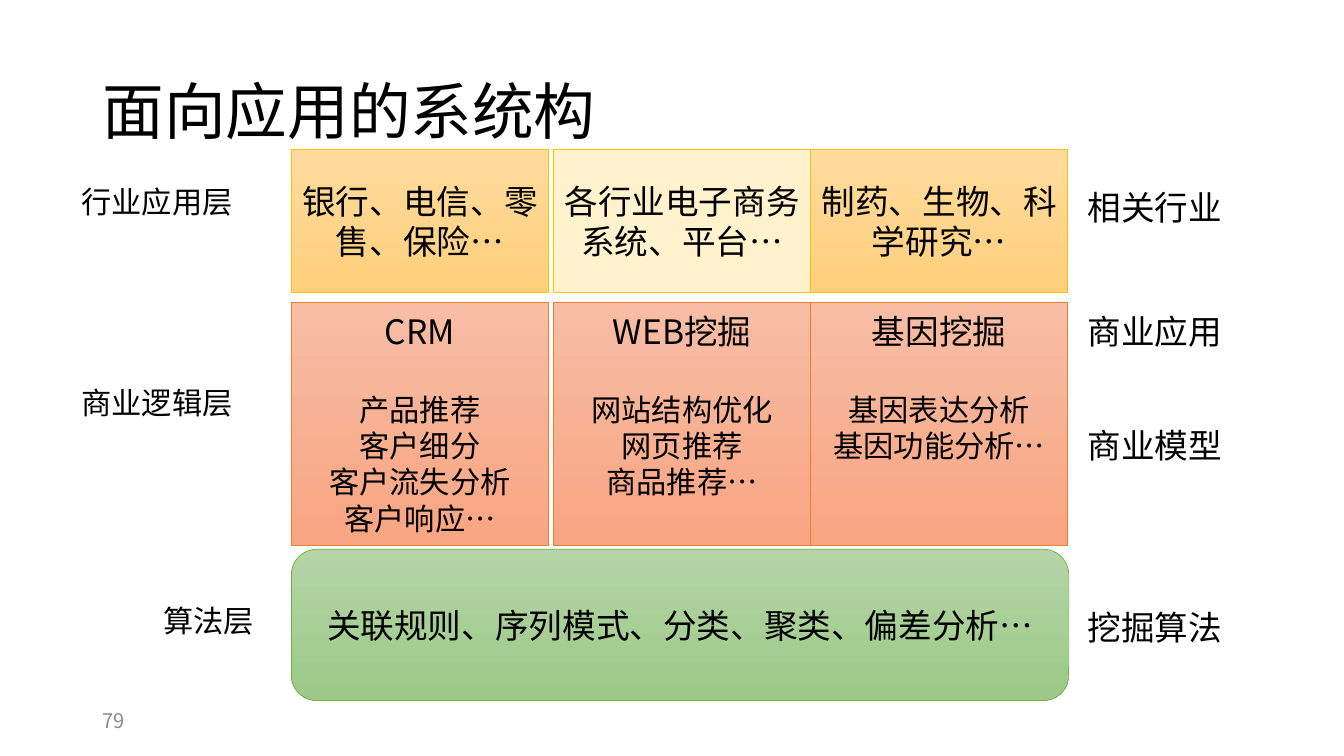
from lxml.etree import SubElement
from pptx import Presentation
from pptx.dml.color import RGBColor
from pptx.enum.shapes import MSO_SHAPE
from pptx.enum.text import MSO_ANCHOR, PP_ALIGN
from pptx.oxml.ns import qn
from pptx.util import Inches, Pt

TITLE = "面向应用的系统构"
PAGE_NUMBER = "79"
COLUMNS = [  # left, industry, application, models
    (2.89, "银行、电信、零售、保险…", "CRM",
     ["产品推荐", "客户细分", "客户流失分析", "客户响应…"]),
    (5.49, "各行业电子商务系统、平台…", "WEB挖掘",
     ["网站结构优化", "网页推荐", "商品推荐…"]),
    (8.04, "制药、生物、科学研究…", "基因挖掘",
     ["基因表达分析", "基因功能分析…"]),
]
ALGORITHMS = "关联规则、序列模式、分类、聚类、偏差分析…"
LAYER_LABELS = [  # left, top, width, text
    (0.71, 1.77, 1.7, "行业应用层"),
    (0.71, 3.76, 1.7, "商业逻辑层"),
    (1.52, 5.93, 1.1, "算法层"),
]
ROLE_LABELS = [(1.81, "相关行业"), (3.04, "商业应用"), (4.17, "商业模型"), (5.97, "挖掘算法")]

FONT = "Noto Sans CJK SC"
LARGE, SMALL = 24, 21.6
LINE_HEIGHT = 1.2
BOX_WIDTH = 2.55
ROLE_LEFT = 10.69

BLACK = RGBColor(0x00, 0x00, 0x00)
GRAY = RGBColor(0x8C, 0x8C, 0x8C)
CREAM = RGBColor(0xFF, 0xF2, 0xCC)
GOLD = RGBColor(0xFF, 0xC0, 0x00)
ORANGE = RGBColor(0xED, 0x7D, 0x31)
GREEN = RGBColor(0x70, 0xAD, 0x47)
GOLD_GRADIENT = (RGBColor(0xFF, 0xDB, 0x9E), RGBColor(0xFF, 0xD0, 0x7C))
ORANGE_GRADIENT = (RGBColor(0xF7, 0xBD, 0xA5), RGBColor(0xF8, 0xA5, 0x82))
GREEN_GRADIENT = (RGBColor(0xB5, 0xD5, 0xA7), RGBColor(0x9C, 0xC9, 0x87))


def write(shape, text, size=LARGE, color=BLACK, align=PP_ALIGN.LEFT,
          anchor=MSO_ANCHOR.MIDDLE, wrap=True, line_height=LINE_HEIGHT,
          space_before=0, append=False):
    """Put one paragraph into a shape, or append it to those already there."""
    frame = shape.text_frame
    frame.word_wrap = wrap
    frame.vertical_anchor = anchor
    paragraph = frame.add_paragraph() if append else frame.paragraphs[0]
    paragraph.alignment = align
    paragraph.line_spacing = Pt(size * line_height)
    if space_before:
        paragraph.space_before = Pt(space_before)
    run = paragraph.add_run()
    run.text = text
    run.font.size = Pt(size)
    run.font.name = FONT
    run.font.color.rgb = color
    SubElement(run.font._element, qn("a:ea"), typeface=FONT)


def add_text(slide, left, top, width, height, text, **text_format):
    box = slide.shapes.add_textbox(Inches(left), Inches(top), Inches(width), Inches(height))
    write(box, text, **text_format)


def add_box(slide, kind, left, top, width, height, fill, line):
    """Add an outlined shape; fill is one colour or a (top, bottom) gradient."""
    shape = slide.shapes.add_shape(kind, Inches(left), Inches(top), Inches(width), Inches(height))
    shape.shadow.inherit = False
    if isinstance(fill, RGBColor):
        shape.fill.solid()
        shape.fill.fore_color.rgb = fill
    else:
        shape.fill.gradient()
        shape.fill.gradient_angle = 270
        for stop, color, position in zip(shape.fill.gradient_stops, fill, (0, 1)):
            stop.color.rgb = color
            stop.position = position
    shape.line.color.rgb = line
    shape.line.width = Pt(0.5)
    return shape


def main():
    presentation = Presentation()
    presentation.slide_width = Inches(13.33)
    presentation.slide_height = Inches(7.5)
    slide = presentation.slides.add_slide(presentation.slide_layouts[6])

    add_text(slide, 0.92, 0.4, 11.5, 1.45, TITLE, size=44, line_height=1.08)
    add_text(slide, 0.92, 6.95, 3, 0.4, PAGE_NUMBER, size=14.4, color=GRAY)

    for index, (left, industry, application, models) in enumerate(COLUMNS):
        fill = CREAM if index == 1 else GOLD_GRADIENT
        industry_box = add_box(slide, MSO_SHAPE.FLOWCHART_PROCESS, left, 1.48,
                               BOX_WIDTH, 1.42, fill, GOLD)
        write(industry_box, industry, align=PP_ALIGN.CENTER)

        logic_box = add_box(slide, MSO_SHAPE.FLOWCHART_PROCESS, left, 3,
                            BOX_WIDTH, 2.41, ORANGE_GRADIENT, ORANGE)
        logic_box.text_frame.margin_top = Inches(0.08)
        centered = {"align": PP_ALIGN.CENTER, "anchor": MSO_ANCHOR.TOP}
        write(logic_box, application, **centered)
        for row, model in enumerate(models):
            gap = LARGE * LINE_HEIGHT if row == 0 else 0
            write(logic_box, model, size=SMALL, space_before=gap, append=True, **centered)

    algorithm_box = add_box(slide, MSO_SHAPE.ROUNDED_RECTANGLE, 2.89, 5.45, 7.71, 1.5,
                            GREEN_GRADIENT, GREEN)
    write(algorithm_box, ALGORITHMS, align=PP_ALIGN.CENTER)

    for left, top, width, label in LAYER_LABELS:
        add_text(slide, left, top, width, 0.46, label, size=SMALL,
                 anchor=MSO_ANCHOR.TOP, wrap=False)
    for top, label in ROLE_LABELS:
        add_text(slide, ROLE_LEFT, top, 1.53, 0.5, label,
                 anchor=MSO_ANCHOR.TOP, wrap=False)

    presentation.save("out.pptx")


if __name__ == "__main__":
    main()
